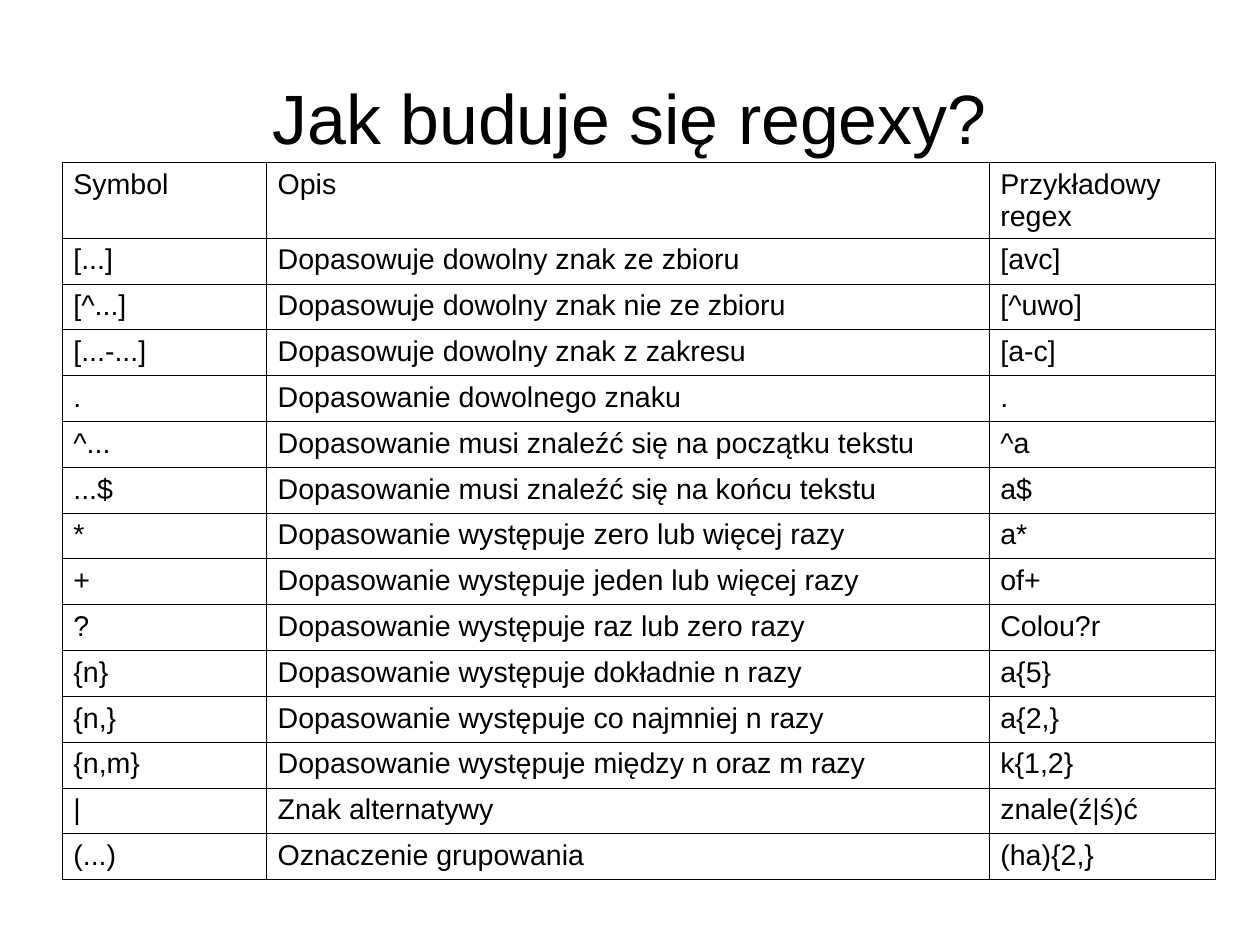
from lxml.etree import SubElement
from pptx import Presentation
from pptx.dml.color import RGBColor
from pptx.enum.text import MSO_ANCHOR as Anchor, MSO_AUTO_SIZE as AutoSize, PP_ALIGN as Align
from pptx.oxml.ns import qn
from pptx.util import Cm, Pt

FONT = "Arial"
BLACK = "000000"
BORDER_PT = 0.57
COLUMN_WIDTHS = (4.54, 16.06, 5.02)
SYMBOLS = [
    ("Symbol", "Opis", "Przykładowy regex"),
    ("[...]", "Dopasowuje dowolny znak ze zbioru", "[avc]"),
    ("[^...]", "Dopasowuje dowolny znak nie ze zbioru", "[^uwo]"),
    ("[...-...]", "Dopasowuje dowolny znak z zakresu", "[a-c]"),
    (".", "Dopasowanie dowolnego znaku", "."),
    ("^...", "Dopasowanie musi znaleźć się na początku tekstu", "^a"),
    ("...$", "Dopasowanie musi znaleźć się na końcu tekstu", "a$"),
    ("*", "Dopasowanie występuje zero lub więcej razy", "a*"),
    ("+", "Dopasowanie występuje jeden lub więcej razy", "of+"),
    ("?", "Dopasowanie występuje raz lub zero razy", "Colou?r"),
    ("{n}", "Dopasowanie występuje dokładnie n razy", "a{5}"),
    ("{n,}", "Dopasowanie występuje co najmniej n razy", "a{2,}"),
    ("{n,m}", "Dopasowanie występuje między n oraz m razy", "k{1,2}"),
    ("|", "Znak alternatywy", "znale(ź|ś)ć"),
    ("(...)", "Oznaczenie grupowania", "(ha){2,}"),
]


def color(hex_value):
    return RGBColor.from_string(hex_value)


def add_run(paragraph, text, size):
    run = paragraph.add_run()
    run.text = text
    run.font.name = FONT
    run.font.size = Pt(size)
    run.font.color.rgb = color(BLACK)


def set_borders(cell):
    """Draw a thin black line on all four sides; call before setting the fill."""
    properties = cell._tc.get_or_add_tcPr()
    for side in ("a:lnL", "a:lnR", "a:lnT", "a:lnB"):
        line = SubElement(properties, qn(side), w=str(Pt(BORDER_PT)))
        fill = SubElement(line, qn("a:solidFill"))
        SubElement(fill, qn("a:srgbClr"), val=BLACK)


def place_title(slide, text, left, top, width, height):
    title = slide.shapes.title
    title.left, title.top, title.width, title.height = left, top, width, height
    frame = title.text_frame
    frame.margin_left = frame.margin_right = frame.margin_top = frame.margin_bottom = 0
    frame.vertical_anchor = Anchor.MIDDLE
    frame.word_wrap = True
    frame.auto_size = AutoSize.NONE
    frame.paragraphs[0].alignment = Align.CENTER
    add_run(frame.paragraphs[0], text, 44)


def fill_cell(cell, text):
    cell.margin_left = cell.margin_right = Cm(0.25)
    cell.margin_top = cell.margin_bottom = Cm(0.13)
    cell.vertical_anchor = Anchor.TOP
    set_borders(cell)
    cell.fill.background()
    add_run(cell.text_frame.paragraphs[0], text, 18)


def place_symbol_table(slide, left, top, width, height):
    """Rows share the height evenly; columns share the width by COLUMN_WIDTHS."""
    table = slide.shapes.add_table(
        len(SYMBOLS), len(COLUMN_WIDTHS), left, top, width, height).table
    table.first_row = table.horz_banding = False
    for column, share in zip(table.columns, COLUMN_WIDTHS):
        column.width = int(width * share / sum(COLUMN_WIDTHS))
    for row, texts in zip(table.rows, SYMBOLS):
        for cell, text in zip(row.cells, texts):
            fill_cell(cell, text)


def main():
    deck = Presentation()
    deck.slide_width, deck.slide_height = Cm(28), Cm(21)
    slide = deck.slides.add_slide(deck.slide_layouts[5])
    place_title(slide, "Jak buduje się regexy?", Cm(1.4), Cm(0.84), Cm(25.2), Cm(3.5))
    place_symbol_table(slide, Cm(1.38), Cm(3.61), Cm(25.62), Cm(15.28))
    deck.save("out.pptx")


if __name__ == "__main__":
    main()
